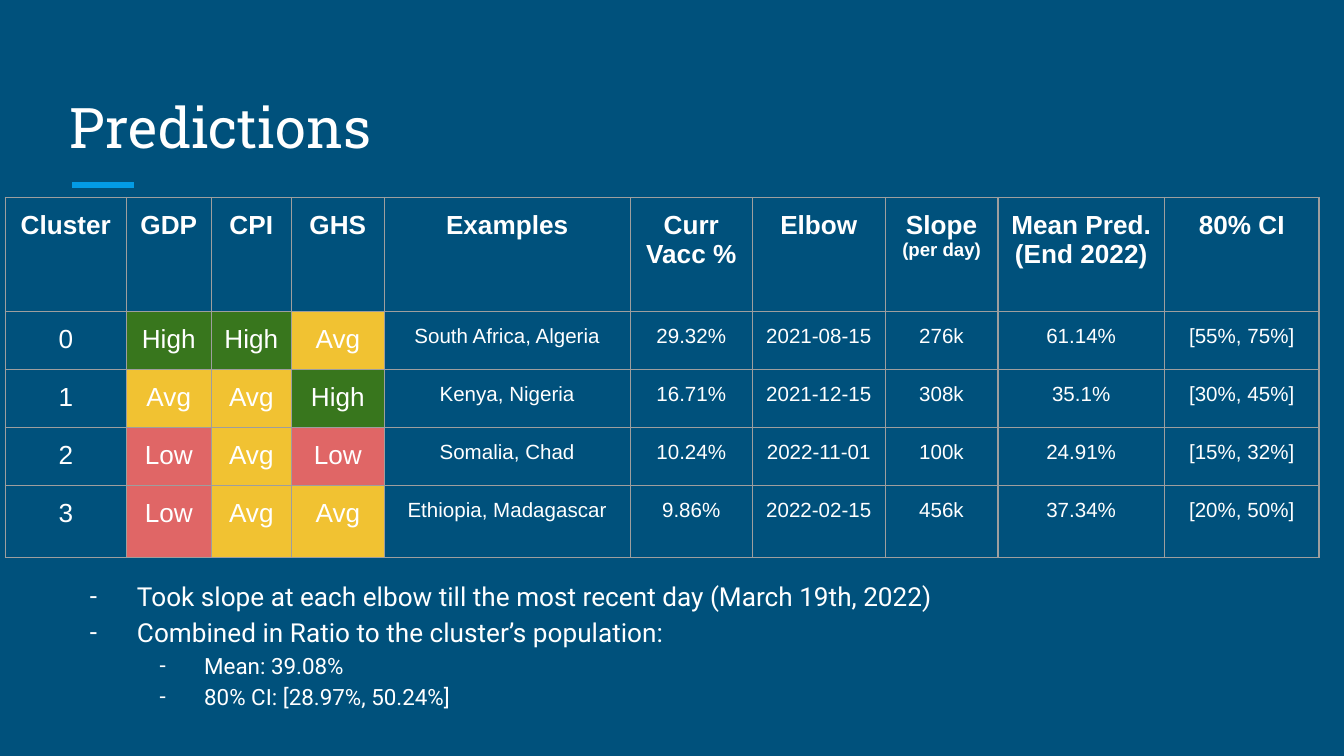
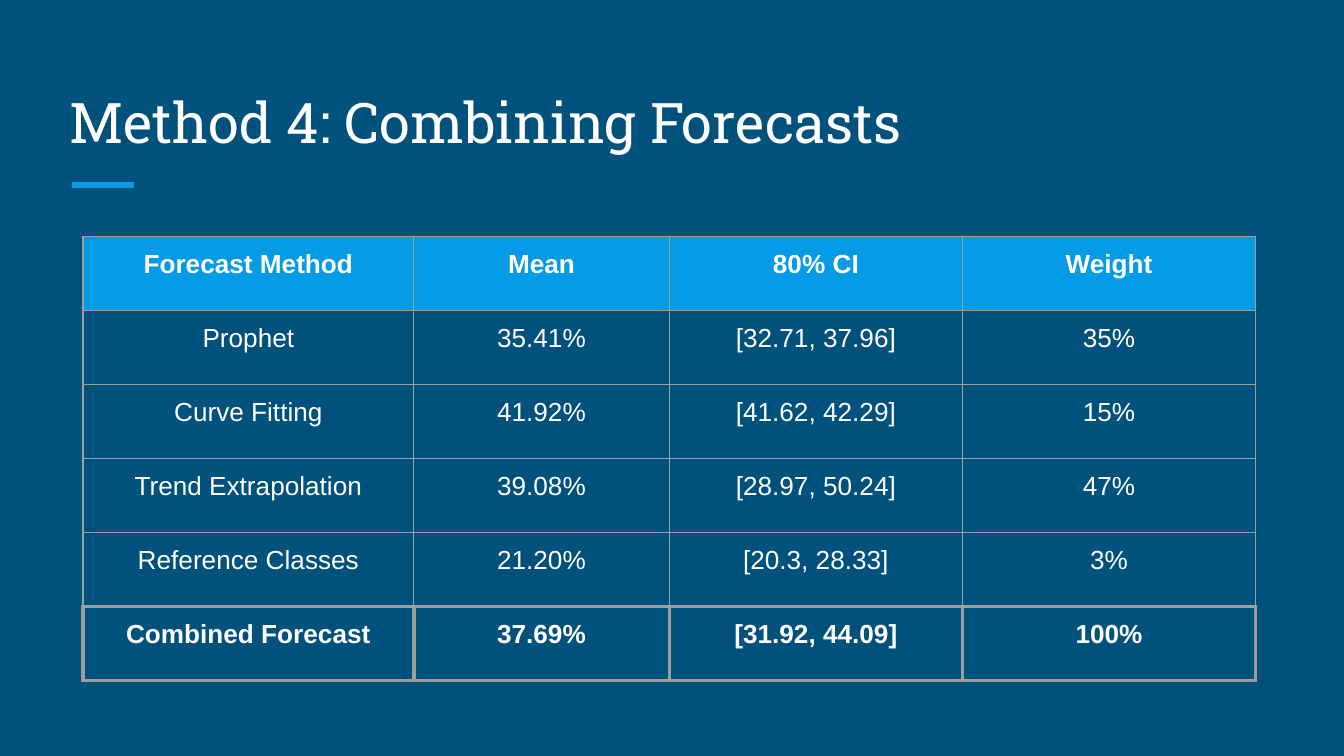
from pptx import Presentation
from pptx.dml.color import RGBColor
from pptx.enum import shapes, text
from pptx.oxml import parse_xml
from pptx.oxml.ns import nsdecls
from pptx.util import Cm, Pt

# Content
CLUSTERS = [
    ("Cluster", "GDP", "CPI", "GHS", "Examples", "Curr Vacc %", "Elbow",
     "Slope\n(per day)", "Mean Pred. (End 2022)", "80% CI"),
    ("0", "High", "High", "Avg", "South Africa, Algeria", "29.32%",
     "2021-08-15", "276k", "61.14%", "[55%, 75%]"),
    ("1", "Avg", "Avg", "High", "Kenya, Nigeria", "16.71%",
     "2021-12-15", "308k", "35.1%", "[30%, 45%]"),
    ("2", "Low", "Avg", "Low", "Somalia, Chad", "10.24%",
     "2022-11-01", "100k", "24.91%", "[15%, 32%]"),
    ("3", "Low", "Avg", "Avg", "Ethiopia, Madagascar", "9.86%",
     "2022-02-15", "456k", "37.34%", "[20%, 50%]"),
]
NOTES = [
    (0, "Took slope at each elbow till the most recent day (March 19th, 2022)"),
    (0, "Combined in Ratio to the cluster’s population:"),
    (1, "Mean: 39.08%"),
    (1, "80% CI: [28.97%, 50.24%]"),
]
METHODS = [
    ("Forecast Method", "Mean", "80% CI", "Weight"),
    ("Prophet", "35.41%", "[32.71, 37.96]", "35%"),
    ("Curve Fitting", "41.92%", "[41.62, 42.29]", "15%"),
    ("Trend Extrapolation", "39.08%", "[28.97, 50.24]", "47%"),
    ("Reference Classes", "21.20%", "[20.3, 28.33]", "3%"),
    ("Combined Forecast", "37.69%", "[31.92, 44.09]", "100%"),
]

# Shared look
NAVY = RGBColor(0x00, 0x51, 0x7C)
BLUE = RGBColor(0x03, 0x9B, 0xE5)
WHITE = RGBColor(0xFF, 0xFF, 0xFF)
GREY = RGBColor(0x9E, 0x9E, 0x9E)
LEVELS = {
    "High": RGBColor(0x38, 0x76, 0x1D),
    "Avg": RGBColor(0xF1, 0xC2, 0x32),
    "Low": RGBColor(0xE0, 0x66, 0x66),
}
PAD = Cm(0.25)
THIN, THICK = Pt(0.75), Pt(2.25)
NOTE_SIZE = (14, 12)
NOTE_DENT = ((1.27, 0.89), (2.54, 0.84))


def write(par, words, size=14, font="Arial", bold=False, align=None):
    par.alignment = align
    run = par.add_run()
    run.text = words
    run.font.name, run.font.size, run.font.bold = font, Pt(size), bold
    run.font.color.rgb = WHITE


def add_box(slide, left, top, width, height, anchor):
    box = slide.shapes.add_textbox(Cm(left), Cm(top), Cm(width), Cm(height))
    frame = box.text_frame
    frame.word_wrap = True
    frame.vertical_anchor = anchor
    frame.margin_left = frame.margin_right = PAD
    frame.margin_top = frame.margin_bottom = PAD
    return frame


def add_page(deck, title, top, width):
    slide = deck.slides.add_slide(deck.slide_layouts[6])
    slide.background.fill.solid()
    slide.background.fill.fore_color.rgb = NAVY
    # Accent rule under the title
    rule = slide.shapes.add_connector(
        shapes.MSO_CONNECTOR.STRAIGHT, Cm(1.37), Cm(3.5), Cm(2.54), Cm(3.5))
    rule.line.color.rgb, rule.line.width = BLUE, Pt(3)
    rule._element.spPr.append(parse_xml(f"<a:effectLst {nsdecls('a')}/>"))
    frame = add_box(slide, 1.07, top, width, 1.9, text.MSO_ANCHOR.BOTTOM)
    write(frame.paragraphs[0], title, size=30, font="Roboto Slab")
    return slide


def edge(cell, **sides):
    for side, width in sides.items():
        cell._tc.get_or_add_tcPr().append(parse_xml(
            f'<a:ln{side} {nsdecls("a")} w="{width}"><a:solidFill>'
            f'<a:srgbClr val="{GREY}"/></a:solidFill></a:ln{side}>'))


def add_grid(slide, data, left, top, cols, rows, style):
    """style(row, col, value) gives fill, bold, sizes by line, and edges."""
    grid = slide.shapes.add_table(
        len(rows), len(cols), Cm(left), Cm(top),
        Cm(sum(cols)), Cm(sum(rows))).table
    grid.first_row = grid.horz_banding = False
    for col, width in zip(grid.columns, cols):
        col.width = Cm(width)
    for row, height in zip(grid.rows, rows):
        row.height = Cm(height)
    for r, line in enumerate(data):
        for c, value in enumerate(line):
            cell = grid.cell(r, c)
            fill, bold, sizes, rim, base = style(r, c, value)
            cell.margin_left = cell.margin_right = PAD
            cell.margin_top = cell.margin_bottom = PAD
            edge(cell, L=rim, R=rim, T=rim, B=base)
            if fill is None:
                cell.fill.background()
            else:
                cell.fill.solid()
                cell.fill.fore_color.rgb = fill
            frame = cell.text_frame
            for i, words in enumerate(value.split("\n")):
                par = frame.add_paragraph() if i else frame.paragraphs[0]
                write(par, words, size=sizes[i], bold=bold,
                      align=text.PP_ALIGN.CENTER)


def rate(r, c, value):
    sizes = (11,) if r and c > 3 else (14, 10)
    return LEVELS.get(value), r == 0, sizes, THIN, THIN


def weigh(r, c, value):
    last = len(METHODS) - 1
    return (None if r else BLUE, r in (0, last), (14,),
            THICK if r == last else THIN, THICK if r >= last - 1 else THIN)


def add_notes(slide):
    frame = add_box(slide, 1.07, 10.64, 23.24, 3.28, text.MSO_ANCHOR.TOP)
    for i, (level, words) in enumerate(NOTES):
        par = frame.add_paragraph() if i else frame.paragraphs[0]
        par.level, par.line_spacing = level, 1.15
        write(par, words, size=NOTE_SIZE[level], font="Roboto")
        left, hang = NOTE_DENT[level]
        props = par._p.get_or_add_pPr()
        props.set("marL", str(Cm(left)))
        props.set("indent", str(-Cm(hang)))
        for mark in (f'<a:buClr {nsdecls("a")}><a:srgbClr val="{WHITE}"/></a:buClr>',
                     f'<a:buFont {nsdecls("a")} typeface="Roboto"/>',
                     f'<a:buChar {nsdecls("a")} char="-"/>'):
            props.append(parse_xml(mark))


def main():
    deck = Presentation()
    deck.slide_width, deck.slide_height = Cm(25.4), Cm(14.29)

    # Predictions by cluster
    slide = add_page(deck, "Predictions", 1.37, 19.23)
    add_grid(slide, CLUSTERS, 0.1, 3.73,
             [2.29, 1.6, 1.52, 1.75, 4.65, 2.31, 2.51, 2.13, 3.15, 2.92],
             [2.16, 1.07, 1.07, 1.07, 1.37], rate)
    add_notes(slide)

    # Combined forecast
    slide = add_page(deck, "Method 4: Combining Forecasts", 1.27, 23.24)
    add_grid(slide, METHODS, 1.57, 4.47, [6.25, 4.83, 5.54, 5.54],
             [1.4] * len(METHODS), weigh)
    deck.save("out.pptx")


if __name__ == "__main__":
    main()
